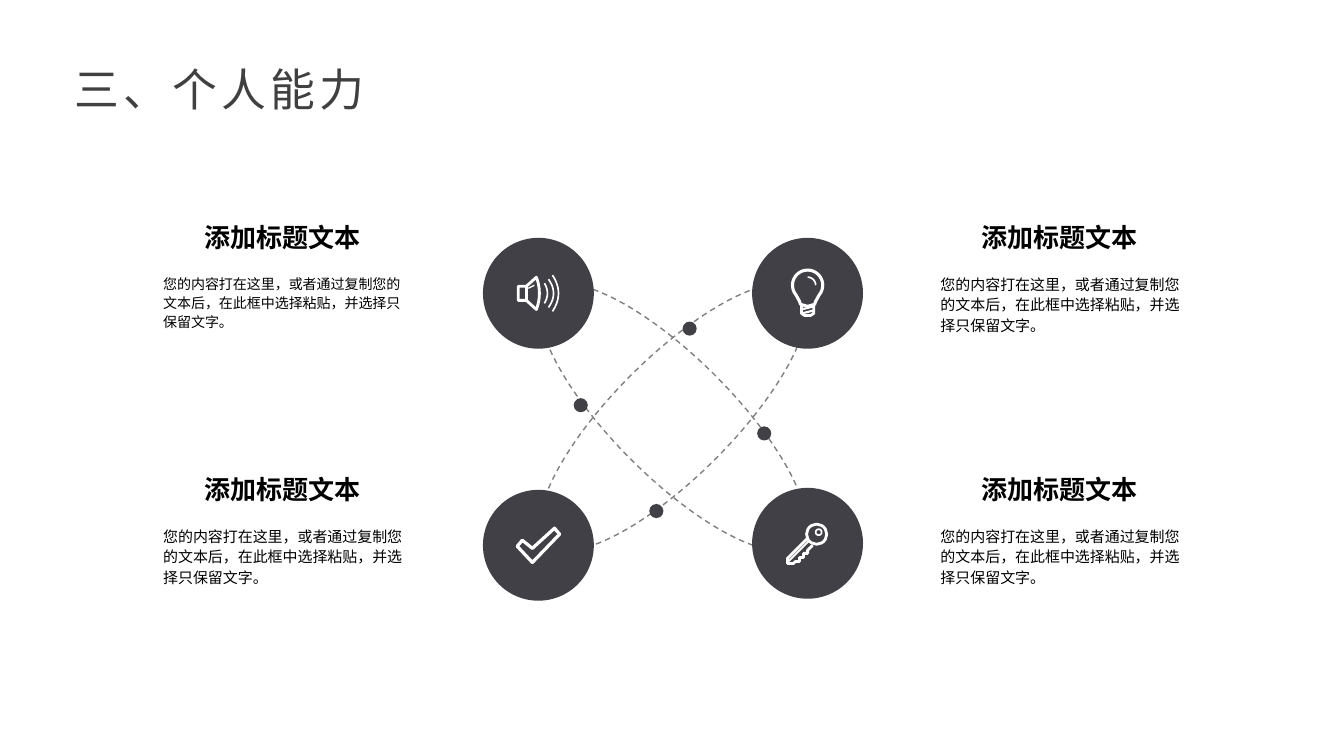
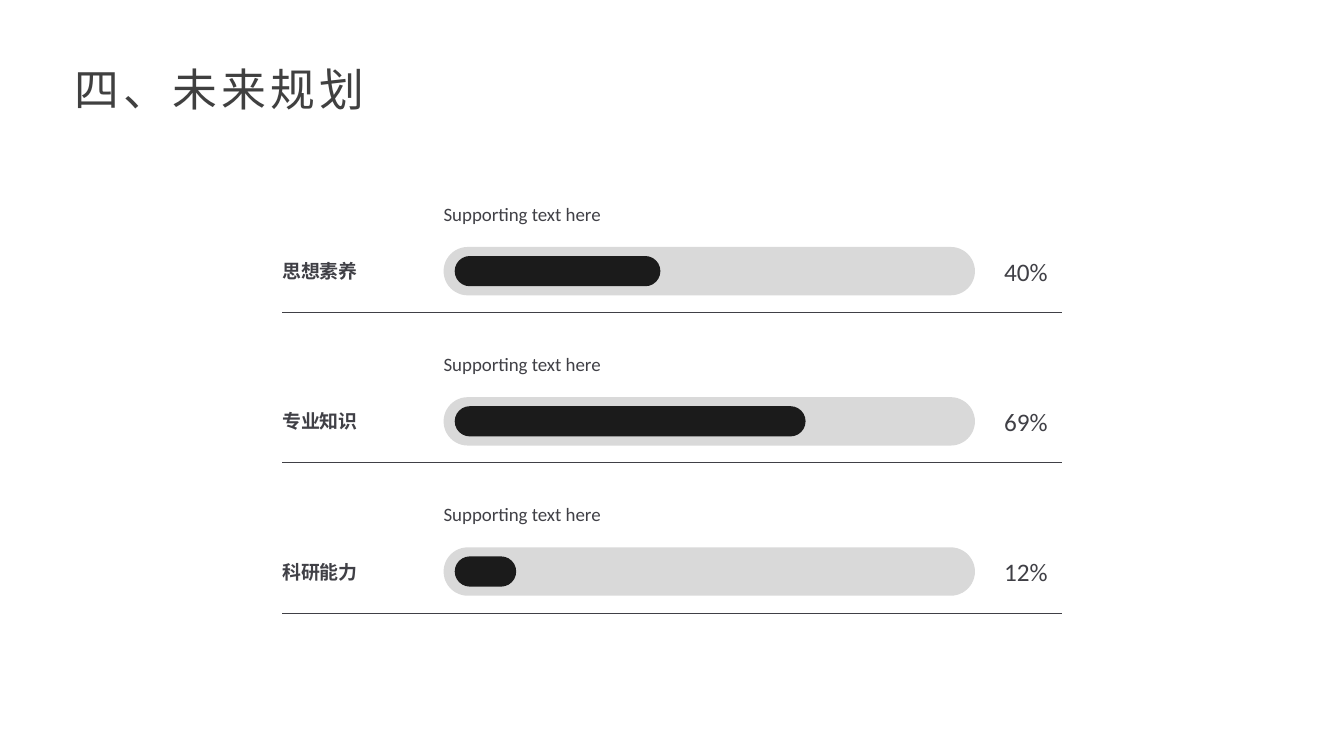
from math import cos, radians, sin

from pptx import Presentation
from pptx.dml.color import RGBColor
from pptx.enum.dml import MSO_LINE
from pptx.enum.shapes import MSO_CONNECTOR, MSO_SHAPE
from pptx.enum.text import MSO_ANCHOR, PP_ALIGN
from pptx.oxml.ns import qn
from pptx.util import Inches, Pt
from lxml.etree import SubElement

DARK = RGBColor(0x40, 0x40, 0x46)
HEAD = RGBColor(0x40, 0x40, 0x40)
BLACK = RGBColor(0, 0, 0)
WHITE = RGBColor(255, 255, 255)
GREY = RGBColor(0x80, 0x80, 0x80)
TRACK = RGBColor(0xD9, 0xD9, 0xD9)
METER = RGBColor(0x1B, 0x1B, 0x1B)
FONT = "Calibri"
BODY = "您的内容打在这里，或者通过复制您的文本后，在此框中选择粘贴，并选择只保留文字。"


def write(frame, text, size, color, bold=False, align=PP_ALIGN.LEFT,
          anchor=MSO_ANCHOR.TOP, space=None, wrap=True, inset=True, track=0):
    """Fill a text frame with one formatted paragraph."""
    frame.word_wrap = wrap
    frame.vertical_anchor = anchor
    wide, tall = (Inches(0.1), Inches(0.05)) if inset else (0, 0)
    frame.margin_left = frame.margin_right = wide
    frame.margin_top = frame.margin_bottom = tall
    para = frame.paragraphs[0]
    para.alignment = align
    if space:
        para.line_spacing = space
    run = para.add_run()
    run.text = text
    font = run.font
    font.name, font.size, font.bold = FONT, Pt(size), bold
    font.color.rgb = color
    if track:
        run._r.get_or_add_rPr().set("spc", str(track * 100))


def label(slide, x, y, w, h, text, size, color, **style):
    """Add a text box."""
    box = slide.shapes.add_textbox(Inches(x), Inches(y), Inches(w), Inches(h))
    write(box.text_frame, text, size, color, **style)


def paint(shape, fill=None, line=None, width=1):
    """Set the fill and outline of a shape and drop its shadow."""
    shape.shadow.inherit = False
    if fill is None:
        shape.fill.background()
    else:
        shape.fill.solid()
        shape.fill.fore_color.rgb = fill
    if line is None:
        shape.line.fill.background()
    else:
        shape.line.color.rgb = line
        shape.line.width = Pt(width)


def block(slide, kind, x, y, w, h, **style):
    """Add a painted preset shape."""
    shape = slide.shapes.add_shape(kind, Inches(x), Inches(y), Inches(w), Inches(h))
    paint(shape, **style)
    return shape


def disc(slide, x, y, r, **style):
    """Add a circle around a centre."""
    return block(slide, MSO_SHAPE.OVAL, x - r, y - r, 2 * r, 2 * r, **style)


def rule(slide, x1, y1, x2, y2, color, width):
    """Add a straight line."""
    line = slide.shapes.add_connector(
        MSO_CONNECTOR.STRAIGHT, Inches(x1), Inches(y1), Inches(x2), Inches(y2))
    line.line.color.rgb = color
    line.line.width = Pt(width)
    SubElement(line._element.spPr, qn("a:effectLst"))


def stroke(slide, x, y, points, width, close=False):
    """Draw a white outline through points given from a centre."""
    spots = [(Inches(x + dx), Inches(y + dy)) for dx, dy in points]
    pen = slide.shapes.build_freeform(*spots[0])
    pen.add_line_segments(spots[1:], close=close)
    paint(pen.convert_to_shape(), line=WHITE, width=width)


def arc(x, y, r, start, end, count=24):
    """Give points along a circular arc, angles in degrees."""
    turns = [radians(start + (end - start) * i / count) for i in range(count + 1)]
    return [(x + r * cos(a), y + r * sin(a)) for a in turns]


def bow(x, half, bulge, count=12):
    """Give points along an upright curve that bulges to the right."""
    steps = [2 * i / count - 1 for i in range(count + 1)]
    return [(x + bulge * (1 - t * t), half * t) for t in steps]


def sound(slide, x, y):
    """Draw a loudspeaker with three waves."""
    body = [(-0.12, 0.07), (-0.2, 0.07), (-0.2, -0.07), (-0.12, -0.07)]
    stroke(slide, x, y, body + bow(-0.02, 0.16, 0.03), 2, close=True)
    rule(slide, x - 0.12, y - 0.07, x - 0.12, y + 0.07, WHITE, 2)
    rule(slide, x - 0.1, y - 0.05, x - 0.04, y - 0.08, WHITE, 1)
    for left, half, bulge in ((0.06, 0.1, 0.03), (0.1, 0.14, 0.05), (0.14, 0.18, 0.06)):
        stroke(slide, x, y, bow(left, half, bulge), 1.2)


def bulb(slide, x, y):
    """Draw a light bulb."""
    neck = [(0.08, 0.08), (0.07, 0.11), (0, 0.13), (-0.07, 0.11), (-0.08, 0.08)]
    stroke(slide, x, y, arc(0, -0.08, 0.15, 140, 400) + neck, 2.2, close=True)
    stroke(slide, x, y, arc(0, -0.08, 0.08, -90, 0), 1.2)
    base = [(-0.06, 0.12), (-0.06, 0.2), (-0.03, 0.22),
            (0.03, 0.22), (0.06, 0.2), (0.06, 0.12)]
    stroke(slide, x, y, base, 2)
    for drop in (0.15, 0.19):
        rule(slide, x - 0.06, y + drop + 0.01, x + 0.06, y + drop - 0.02, WHITE, 1.5)


def key(slide, x, y):
    """Draw a key."""
    disc(slide, x + 0.09, y - 0.09, 0.1, line=WHITE, width=2)
    disc(slide, x + 0.11, y - 0.11, 0.03, line=WHITE, width=1.2)
    shaft = [(0, -0.05), (-0.2, 0.15), (-0.2, 0.2), (-0.14, 0.2), (-0.12, 0.18)]
    teeth = [(-0.08, 0.18), (-0.08, 0.14), (-0.04, 0.14), (-0.04, 0.1),
             (0, 0.1), (0, 0.07), (0.05, 0.02)]
    stroke(slide, x, y, shaft + teeth, 2)
    rule(slide, x + 0.01, y - 0.02, x - 0.19, y + 0.18, WHITE, 1.2)


def check(slide, x, y):
    """Draw an outlined check mark."""
    points = [(0.16, -0.17), (0.21, -0.11), (-0.06, 0.17),
              (-0.21, 0.01), (-0.16, -0.05), (-0.06, 0.03)]
    stroke(slide, x, y, points, 2.3, close=True)


def orbit(slide, x, y):
    """Draw crossed orbits with dots and four icon discs around a centre."""
    for turn in (315, 225):
        ring = block(slide, MSO_SHAPE.OVAL, x - 1.77, y - 0.59, 3.55, 1.18, line=GREY)
        ring.line.dash_style = MSO_LINE.DASH
        ring.rotation = turn
    for dx, dy in ((-0.91, -0.12), (0.91, 0.16), (-0.16, 0.93), (0.17, -0.88)):
        disc(slide, x + dx, y + dy, 0.07, fill=DARK)
    icons = ((sound, -1.33, -1.23), (bulb, 1.34, -1.23),
             (key, 1.34, 1.25), (check, -1.33, 1.27))
    for draw, dx, dy in icons:
        disc(slide, x + dx, y + dy, 0.55, fill=DARK)
        draw(slide, x + dx, y + dy)


def note(slide, x, y, size):
    """Add a heading with its text below."""
    label(slide, x, y + 0.57, 2.57, 0.72, BODY, size, BLACK, space=1.14)
    label(slide, x + 0.14, y, 2.28, 0.45, "添加标题文本", 18.6, BLACK,
          bold=True, align=PP_ALIGN.CENTER, space=1.2)


def gauge(slide, x, y, name, share, width):
    """Add a labelled progress bar with a rule below."""
    label(slide, x, y + 0.53, 1.28, 0.3, name, 13.5, DARK, bold=True,
          anchor=MSO_ANCHOR.MIDDLE, inset=False)
    for dx, dy, w, h, fill in ((1.6, 0.44, 5.27, 0.48, TRACK),
                               (1.71, 0.53, width, 0.3, METER)):
        bar = block(slide, MSO_SHAPE.ROUNDED_RECTANGLE, x + dx, y + dy, w, h, fill=fill)
        bar.adjustments[0] = 0.5
    label(slide, x + 7.06, y + 0.44, 0.64, 0.48, share, 18, DARK,
          anchor=MSO_ANCHOR.MIDDLE, wrap=False)
    label(slide, x + 1.6, y, 5.27, 0.35, "Supporting text here", 13.5, DARK,
          wrap=False, inset=False)
    rule(slide, x + 7.73, y + 1.09, x, y + 1.09, DARK, 0.25)


def start(deck, text):
    """Add a slide with its title."""
    slide = deck.slides.add_slide(deck.slide_layouts[5])
    title = slide.shapes.title
    title.left, title.top = Inches(0.64), Inches(0.56)
    title.width, title.height = Inches(3.67), Inches(0.64)
    write(title.text_frame, text, 32, HEAD, track=3)
    return slide


def skills(deck):
    """Build the slide on personal skills."""
    slide = start(deck, "三、个人能力")
    orbit(slide, 6.67, 4.14)
    for x, sizes in ((1.52, (10, 10.7)), (9.23, (10.7, 10.7))):
        for y, size in zip((2.09, 4.59), sizes):
            note(slide, x, y, size)


def plans(deck):
    """Build the slide on future plans."""
    slide = start(deck, "四、未来规划")
    rows = (("思想素养", "40%", 2.04), ("专业知识", "69%", 3.48), ("科研能力", "12%", 0.61))
    for i, row in enumerate(rows):
        gauge(slide, 2.8, 2.01 + 1.49 * i, *row)


def main():
    """Build and save the deck."""
    deck = Presentation()
    deck.slide_width, deck.slide_height = Inches(13.33), Inches(7.5)
    skills(deck)
    plans(deck)
    deck.save("out.pptx")


if __name__ == "__main__":
    main()
